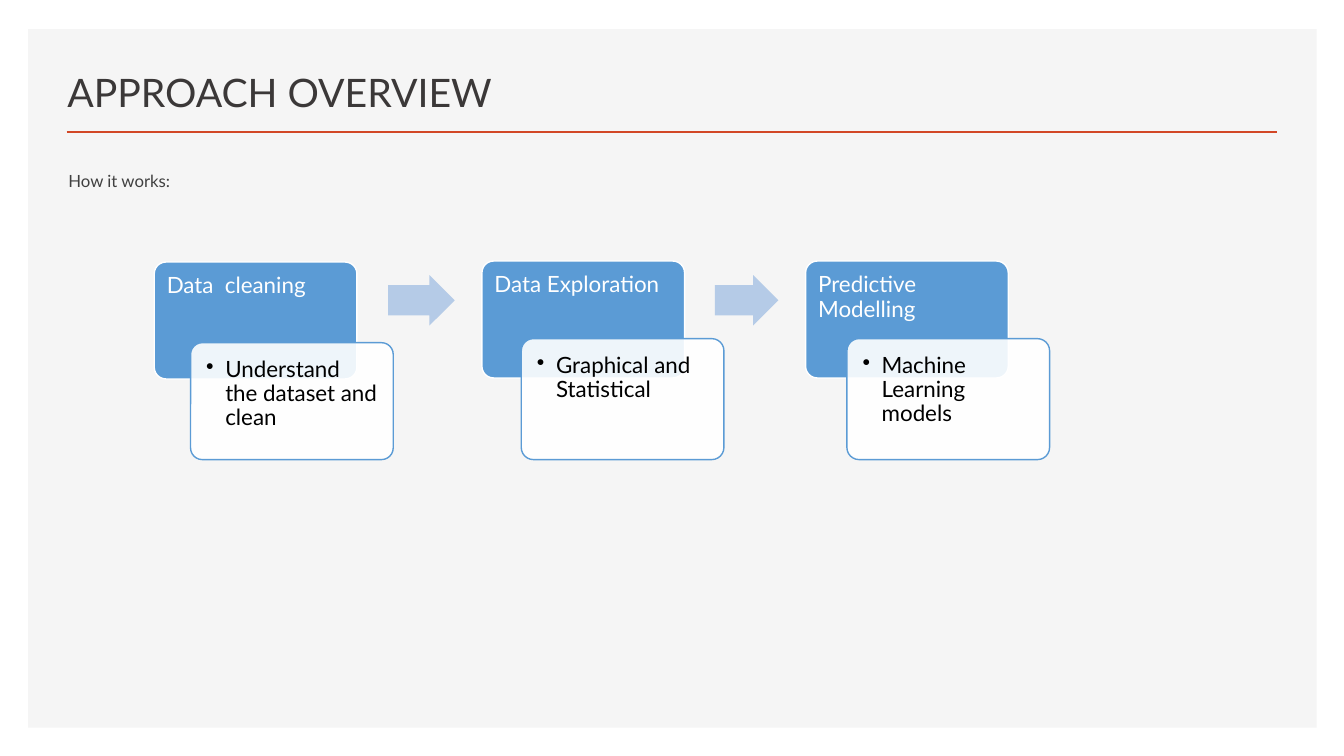
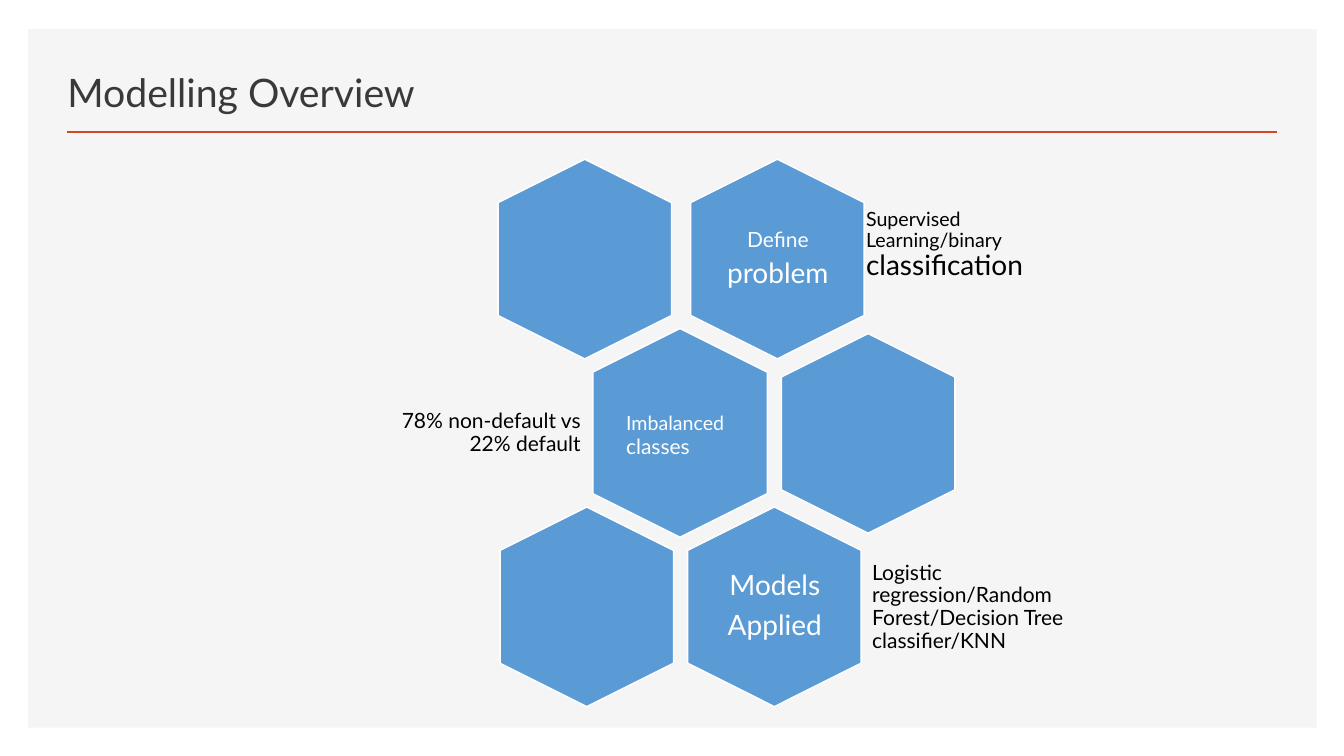
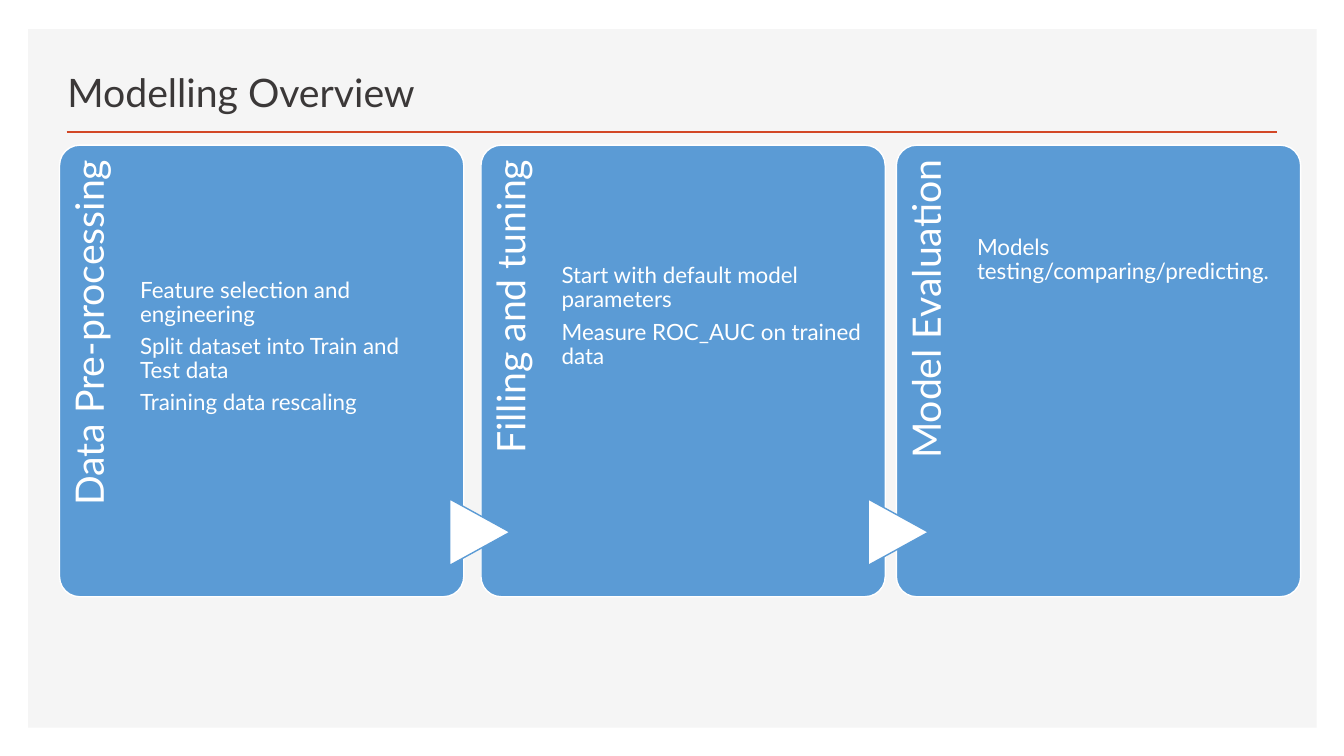
import pptx
import pptx.util
import pptx.dml.color
import pptx.enum.shapes
import pptx.enum.text
import pptx.oxml
import pptx.oxml.ns

PX = 9144
FONT = "Lato"
RGBColor = pptx.dml.color.RGBColor
WHITE = RGBColor(0xFF, 0xFF, 0xFF)
BLACK = RGBColor(0, 0, 0)
PANEL = RGBColor(0xF5, 0xF5, 0xF5)
ACCENT = RGBColor(0xD2, 0x47, 0x26)
TITLE = RGBColor(0x3B, 0x38, 0x38)
BODY = RGBColor(0x40, 0x40, 0x40)
BLUE = RGBColor(0x5B, 0x9B, 0xD5)
PALE_BLUE = RGBColor(0xB5, 0xCB, 0xE7)

SHAPE = pptx.enum.shapes.MSO_SHAPE
ANCHOR = pptx.enum.text.MSO_ANCHOR
ALIGN = pptx.enum.text.PP_ALIGN
qn = pptx.oxml.ns.qn

STEPS = [
    ((153, 260), (189, 340, 116), "Data  cleaning", "Understand the dataset and clean"),
    ((478, 259), (517, 336, 120), "Data Exploration", "Graphical and Statistical"),
    ((799, 259), (840, 336, 120), "Predictive Modelling", "Machine Learning models"),
]
CARDS = [
    (59, "Data Pre-processing", ["Feature selection and engineering",
                                 "Split dataset into Train and Test data",
                                 "Training data rescaling"]),
    (477, "Filling and tuning", ["Start with default model parameters",
                                 "Measure ROC_AUC on trained data"]),
    (889, "Model Evaluation", ["Models testing/comparing/predicting."]),
]
HEXAGONS = [(672, 171, 198, 172), (481, 171, 198, 172), (571, 343, 207, 173),
            (762, 344, 198, 172), (669, 516, 198, 172), (483, 516, 198, 172)]
HEXAGON_LABELS = [
    ((712, 189, 119, 136), [[("Define", 15)], [("problem", 20)]], WHITE, ALIGN.CENTER),
    ((853, 184, 229, 119), [[("Supervised Learning/binary ", 14), ("classification", 20)]],
     BLACK, ALIGN.LEFT),
    ((615, 358, 120, 143), [[("Imbalanced", 14), (" ", 20), ("classes", 15)]],
     WHITE, ALIGN.LEFT),
    ((368, 370, 214, 119), [[("78% non-default vs 22% default", 15)]], BLACK, ALIGN.RIGHT),
    ((709, 534, 119, 136), [[("Models", 20)], [("Applied", 20)]], WHITE, ALIGN.CENTER),
    ((859, 543, 221, 119),
     [[("Logistic regression/Random Forest/Decision Tree classifier/KNN", 15)]],
     BLACK, ALIGN.LEFT),
]


def emu(*lengths):
    """Turn px lengths into EMU."""
    return [pptx.util.Emu(n * PX) for n in lengths]


def add_shape(s, kind, box, fill, line=None, adj=None, rotation=0, opacity=None):
    """Add a flat preset shape."""
    sp = s.shapes.add_shape(kind, *emu(*box))
    sp.shadow.inherit = False
    sp.rotation = rotation
    sp.fill.solid()
    sp.fill.fore_color.rgb = fill
    if line is None:
        sp.line.fill.background()
    else:
        sp.line.color.rgb = line
        sp.line.width = pptx.util.Pt(1)
    if adj is not None:
        sp.adjustments[0] = adj
    if opacity is not None:
        color = sp.fill._xPr.find(qn("a:solidFill"))[0]
        color.append(pptx.oxml.parse_xml(
            '<a:alpha xmlns:a="http://schemas.openxmlformats.org/drawingml/2006/main" '
            f'val="{opacity * 1000}"/>'))
    return sp


def set_text(sp, paragraphs, color, inset, align=ALIGN.LEFT, anchor=ANCHOR.TOP,
             spacing=0.9, after=0.35):
    """Fill a shape with paragraphs of (text, size) runs."""
    tf = sp.text_frame
    tf.word_wrap = True
    tf.vertical_anchor = anchor
    tf.margin_left, tf.margin_top, tf.margin_right, tf.margin_bottom = emu(*inset)
    for i, runs in enumerate(paragraphs):
        p = tf.add_paragraph() if i else tf.paragraphs[0]
        p.alignment = align
        p.line_spacing = spacing
        p.space_after = pptx.util.Pt(round(after * runs[-1][1], 1))
        for text, size in runs:
            r = p.add_run()
            r.text = text
            r.font.size = pptx.util.Pt(size)
            r.font.name = FONT
            r.font.color.rgb = color
    return tf


def add_text(s, box, paragraphs, color, inset=(10, 5, 10, 5), rotation=0, **style):
    """Add a text box."""
    sp = s.shapes.add_textbox(*emu(*box))
    sp.rotation = rotation
    return set_text(sp, paragraphs, color, inset, **style)


def add_bullet(p, indent):
    """Give a paragraph a hanging bullet."""
    pPr = p._p.get_or_add_pPr()
    pPr.set("marL", str(indent * PX))
    pPr.set("indent", str(-indent * PX))
    pPr.append(pptx.oxml.parse_xml(
        '<a:buChar xmlns:a="http://schemas.openxmlformats.org/drawingml/2006/main" char="•"/>'))


def add_slide(prs, title):
    """Add a slide with the shared panel, title and rule."""
    s = prs.slides.add_slide(prs.slide_layouts[6])
    add_shape(s, SHAPE.RECTANGLE, (28, 29, 1278, 693), PANEL)
    rule = s.shapes.add_connector(pptx.enum.shapes.MSO_CONNECTOR.STRAIGHT,
                                  *emu(66, 131, 1267, 131))
    rule.line.color.rgb = ACCENT
    rule.line.width = pptx.util.Pt(2)
    rule._element.spPr.append(pptx.oxml.parse_xml(
        '<a:effectLst xmlns:a="http://schemas.openxmlformats.org/drawingml/2006/main"/>'))
    add_text(s, (57, 49, 752, 70), [[(title, 28)]], TITLE,
             anchor=ANCHOR.BOTTOM, spacing=1.0, after=0)
    return s


def add_step(s, head, detail, heading, text):
    """Add a process step: a heading box overlapped by a detail box."""
    sp = add_shape(s, SHAPE.ROUNDED_RECTANGLE, (*head, 201, 116), BLUE, WHITE, 0.1)
    set_text(sp, [[(heading, 16)]], WHITE, (9, 9, 9, 7))
    x, y, height = detail
    sp = add_shape(s, SHAPE.ROUNDED_RECTANGLE, (x, y, 201, height), WHITE, BLUE, 0.1,
                   opacity=90)
    tf = set_text(sp, [[(text, 16)]], BLACK, (12, 12, 12, 12), after=0.15)
    add_bullet(tf.paragraphs[0], 19)


def add_card(s, x, heading, lines):
    """Add a card with a vertical heading and a list."""
    add_shape(s, SHAPE.ROUNDED_RECTANGLE, (x, 144, 401, 448), BLUE, WHITE, 0.05)
    add_text(s, (x - 143, 288, 367, 80), [[(heading, 28)]], WHITE, (0, 10, 14, 0),
             rotation=270, align=ALIGN.RIGHT)
    add_text(s, (x + 80, 144, 299, 448), [[(line, 16)] for line in lines], WHITE,
             (0, 133, 0, 0))


def build_approach(prs):
    """Build the three-step process slide."""
    s = add_slide(prs, "APPROACH OVERVIEW")
    tf = add_text(s, (58, 159, 559, 52), [[("How it works:", 12)]], BODY,
                  spacing=pptx.util.Pt(18))
    tf.paragraphs[0].space_before = pptx.util.Pt(10)
    for step in STEPS:
        add_step(s, *step)
    for x, width in ((385, 66), (709, 63)):
        arrow = add_shape(s, SHAPE.RIGHT_ARROW, (x, 273, width, 50), PALE_BLUE, adj=0.6)
        arrow.adjustments[1] = 0.5


def build_hexagons(prs):
    """Build the honeycomb slide."""
    s = add_slide(prs, "Modelling Overview")
    for box in HEXAGONS:
        add_shape(s, SHAPE.HEXAGON, box, BLUE, WHITE, 0.25, rotation=90)
    for box, paragraphs, color, align in HEXAGON_LABELS:
        add_text(s, box, paragraphs, color, (6, 6, 6, 6), align=align, anchor=ANCHOR.MIDDLE)


def build_cards(prs):
    """Build the three-card slide."""
    s = add_slide(prs, "Modelling Overview")
    for card in CARDS:
        add_card(s, *card)
    for x in (443, 858):
        add_shape(s, SHAPE.FLOWCHART_EXTRACT, (x, 498, 66, 60), WHITE, BLUE, rotation=90)


def main():
    """Build and save the presentation."""
    prs = pptx.Presentation()
    prs.slide_width, prs.slide_height = emu(1333, 750)
    build_approach(prs)
    build_hexagons(prs)
    build_cards(prs)
    prs.save("out.pptx")


if __name__ == "__main__":
    main()
